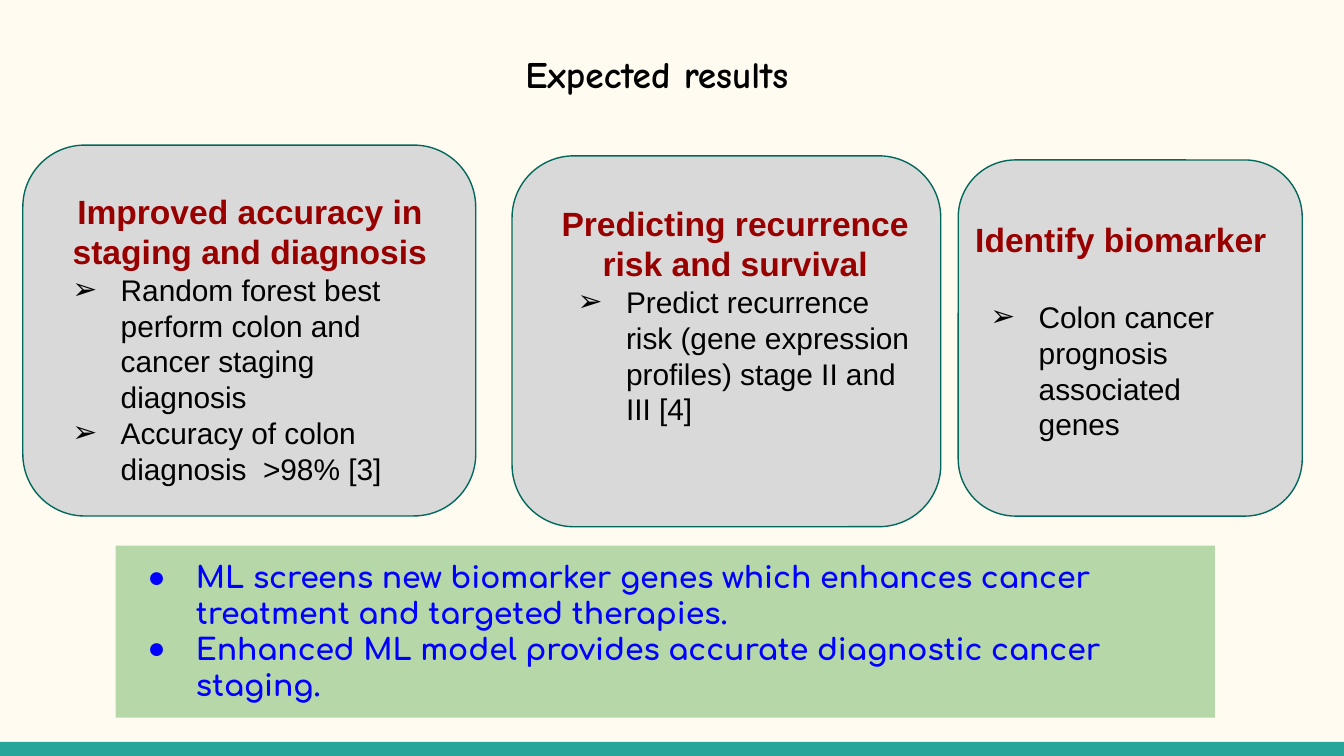
from lxml.etree import SubElement
from pptx import Presentation
from pptx.dml.color import RGBColor
from pptx.enum.shapes import MSO_SHAPE
from pptx.enum.text import MSO_ANCHOR, MSO_AUTO_SIZE, PP_ALIGN
from pptx.oxml.ns import qn
from pptx.util import Inches, Pt

COLORS = {
    "cream": "FFFBF0", "teal": "26A69A", "edge": "00695C", "gray": "D9D9D9",
    "green": "B6D7A8", "red": "980000", "blue": "0000FF", "black": "000000",
}


def add_box(kind, place, fill):
    box = slide.shapes.add_shape(kind, *[Inches(n) for n in place])
    box.shadow.inherit = False
    box.fill.solid()
    box.fill.fore_color.rgb = RGBColor.from_string(COLORS[fill])
    box.line.fill.background()
    return box


def write(frame, lines, font, size, color, bold=False, bullet=None):
    """Fill the frame's last paragraph if it is empty, then add one per line."""
    frame.word_wrap = True
    frame.auto_size = MSO_AUTO_SIZE.NONE
    frame.vertical_anchor = MSO_ANCHOR.TOP
    frame.margin_left = frame.margin_right = Inches(0.1)
    frame.margin_top = frame.margin_bottom = Inches(0.1)
    for line in lines:
        para = frame.paragraphs[-1]
        if para.text:
            para = frame.add_paragraph()
        para.text = line
        para.alignment = PP_ALIGN.LEFT if bullet else PP_ALIGN.CENTER
        if bullet:
            props = para._p.get_or_add_pPr()
            props.set("marL", str(Inches(0.5)))
            props.set("indent", str(Inches(-0.36)))
            tint = SubElement(props, qn("a:buClr"))
            SubElement(tint, qn("a:srgbClr"), val=COLORS[color])
            SubElement(props, qn("a:buFont"), typeface="Arial")
            SubElement(props, qn("a:buChar"), char=bullet)
        for run in para.runs:
            run.font.name = font
            run.font.size = Pt(size)
            run.font.bold = bold
            run.font.color.rgb = RGBColor.from_string(COLORS[color])


deck = Presentation()
deck.slide_width = Inches(10)
deck.slide_height = deck.slide_width * 9 // 16
slide = deck.slides.add_slide(deck.slide_layouts[5])
slide.background.fill.solid()
slide.background.fill.fore_color.rgb = RGBColor.from_string(COLORS["cream"])
add_box(MSO_SHAPE.RECTANGLE, (0, 5.52, 10, 0.11), "teal")

title = slide.shapes.title
title.left, title.top = Inches(3.81), Inches(0.23)
title.width, title.height = Inches(2.64), Inches(0.42)
write(title.text_frame, ["Expected results"], "Comic Neue", 20, "black", bold=True)
title.text_frame.paragraphs[0].alignment = PP_ALIGN.LEFT
title.text_frame.paragraphs[0].line_spacing = 1.15

# Card place, text place, heading, points, gap under the heading in points
cards = [
    ((0.17, 1.08, 3.37, 2.76), (0.3, 1.32, 3.12, 2.42),
     "Improved accuracy in staging and diagnosis",
     ["Random forest best perform colon and cancer staging diagnosis",
      "Accuracy of colon diagnosis  >98% [3]"], 0),
    ((3.81, 1.16, 3.19, 2.76), (4.06, 1.41, 2.82, 1.89),
     "Predicting recurrence risk and survival",
     ["Predict recurrence risk (gene expression profiles) stage II and III [4]"], 0),
    ((7.13, 1.19, 2.56, 2.65), (7.13, 1.53, 2.42, 1.89),
     "Identify biomarker",
     ["Colon cancer prognosis associated genes"], 21),
]
for place, *_ in cards:
    card = add_box(MSO_SHAPE.ROUNDED_RECTANGLE, place, "gray")
    card.line.color.rgb = RGBColor.from_string(COLORS["edge"])
    card.line.width = Pt(0.75)
for _, area, heading, points, gap in cards:
    frame = slide.shapes.add_textbox(*[Inches(n) for n in area]).text_frame
    write(frame, [heading], "Arial", 18, "red", bold=True)
    write(frame, points, "Arial", 16, "black", bullet="➢")
    frame.paragraphs[1].space_before = Pt(gap)

panel = add_box(MSO_SHAPE.RECTANGLE, (0.86, 4.06, 8.18, 1.28), "green")
write(panel.text_frame, [
    "ML screens new biomarker genes which enhances cancer treatment and targeted therapies.",
    "Enhanced ML model provides accurate diagnostic cancer staging.",
], "Comfortaa", 16, "blue", bold=True, bullet="●")

deck.save("out.pptx")
